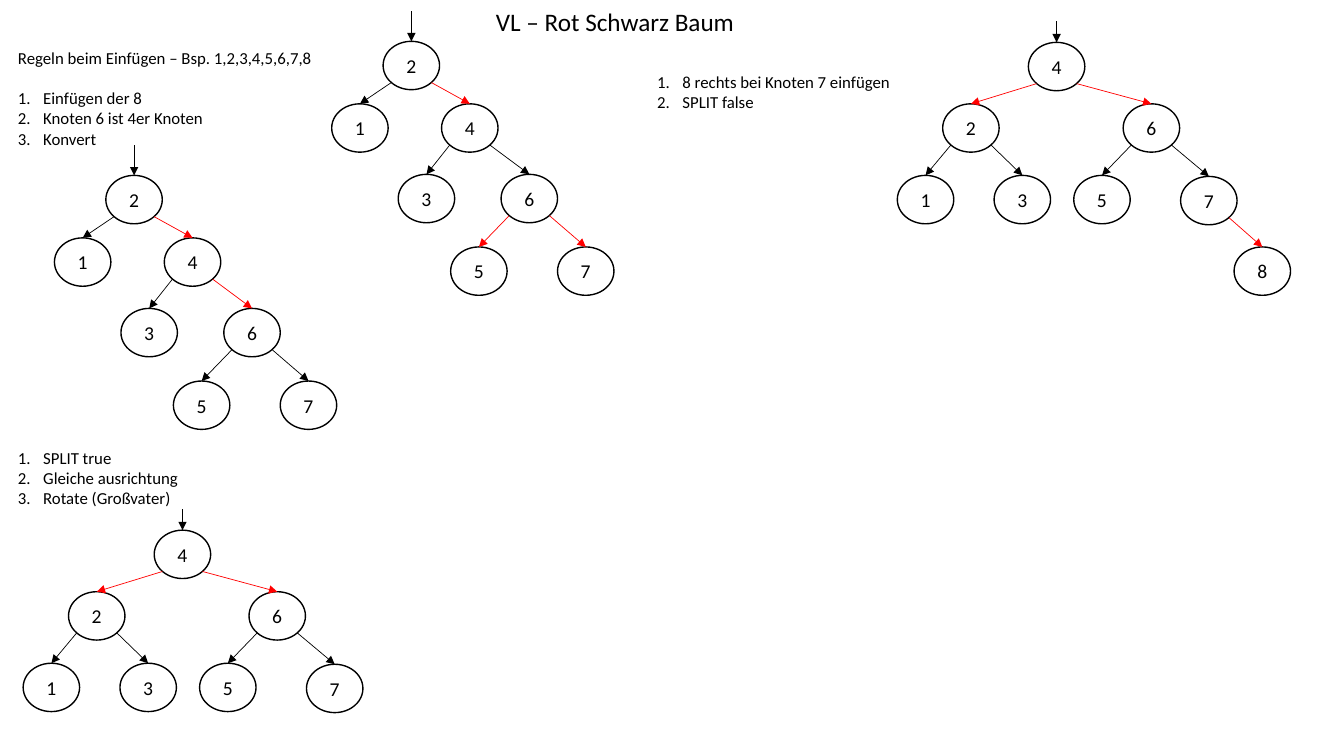
from lxml import etree
from pptx import Presentation
from pptx.dml.color import RGBColor
from pptx.enum.shapes import MSO_CONNECTOR, MSO_SHAPE
from pptx.enum.text import MSO_ANCHOR, MSO_AUTO_SIZE, PP_ALIGN
from pptx.oxml.ns import qn
from pptx.util import Emu, Pt

OVAL = MSO_SHAPE.OVAL
LINE = MSO_CONNECTOR.STRAIGHT
MIDDLE = MSO_ANCHOR.MIDDLE
GROW = MSO_AUTO_SIZE.SHAPE_TO_FIT_TEXT
CENTER = PP_ALIGN.CENTER
LEFT = PP_ALIGN.LEFT

COLORS = {"black": "000000", "red": "FF0000"}
FONT = "Calibri"
SCALE = 9144
NODE_W, NODE_H = 56, 48
SIDE, DROP = 20, 41
INDENT = 25
GAP = 14.6

CHAIN = {
    "2": (0, 0, None),
    "1": (-51, 62, "2"),
    "4": (58, 62, "2"),
    "3": (15, 132, "4"),
    "6": (117, 132, "4"),
    "5": (67, 204, "6"),
    "7": (173, 204, "6"),
}
FULL = {
    "4": (0, 0, None),
    "2": (-85, 61, "4"),
    "6": (94, 61, "4"),
    "1": (-130, 132, "2"),
    "3": (-34, 132, "2"),
    "5": (45, 132, "6"),
    "7": (151, 133, "6"),
}
GROWN = {**FULL, "8": (204, 203, "7")}


def px(n):
    return Emu(n * SCALE)


def color(name):
    return RGBColor.from_string(COLORS[name])


def write(para, text, size=12, align=LEFT, number=False, before=0):
    para.alignment = align
    if before:
        para.space_before = Pt(before)
    if number:
        props = para._p.get_or_add_pPr()
        props.set("marL", str(px(INDENT)))
        props.set("indent", str(px(-INDENT)))
        mark = etree.SubElement(props, qn("a:buAutoNum"))
        mark.set("type", "arabicPeriod")
    run = para.add_run()
    run.text = text
    run.font.name = FONT
    run.font.size = Pt(size)
    run.font.color.rgb = color("black")


def add_box(slide, box, wrap=True):
    frame = slide.shapes.add_textbox(*map(px, box)).text_frame
    frame.word_wrap = wrap
    frame.auto_size = GROW
    return frame


def add_title(slide, box, text):
    frame = add_box(slide, box, wrap=False)
    write(frame.paragraphs[0], text, size=18)


def add_steps(slide, box, steps, head=None):
    frame = add_box(slide, box)
    para = frame.paragraphs[0]
    if head:
        write(para, head)
        para = frame.add_paragraph()
    for i, step in enumerate(steps):
        if i:
            para = frame.add_paragraph()
        write(para, step, number=True, before=GAP if head and not i else 0)


def add_node(slide, x, y, key):
    node = slide.shapes.add_shape(OVAL, *map(px, (x, y, NODE_W, NODE_H)))
    node.shadow.inherit = False
    node.fill.background()
    node.line.color.rgb = color("black")
    node.line.width = Pt(1)
    node.text_frame.vertical_anchor = MIDDLE
    write(node.text_frame.paragraphs[0], key, size=14, align=CENTER)
    return node


def add_arrow(slide, x, y, node, tone):
    top = node.left + node.width // 2
    arrow = slide.shapes.add_connector(LINE, px(x), px(y), top, node.top)
    arrow.end_connect(node, 0)
    arrow.line.color.rgb = color(tone)
    arrow.line.width = Pt(0.5)
    tail = etree.SubElement(arrow.line._get_or_add_ln(), qn("a:tailEnd"))
    tail.set("type", "triangle")
    etree.SubElement(arrow._element.spPr, qn("a:effectLst"))


def add_tree(slide, x, y, tree, entry, red):
    mid = x + NODE_W // 2
    nodes = {key: add_node(slide, x + dx, y + dy, key)
             for key, (dx, dy, _) in tree.items()}
    for key, (dx, _, up) in tree.items():
        if up is None:
            add_arrow(slide, mid, y - entry, nodes[key], "black")
            continue
        up_x, up_y, _ = tree[up]
        side = SIDE if dx > up_x else -SIDE
        tone = "red" if key in red else "black"
        add_arrow(slide, mid + up_x + side, y + up_y + DROP, nodes[key], tone)


def main():
    deck = Presentation()
    deck.slide_width, deck.slide_height = px(1333), px(750)
    slide = deck.slides.add_slide(deck.slide_layouts[6])
    add_title(slide, (482, 1, 259, 40), "VL – Rot Schwarz Baum")
    add_steps(slide, (8, 42, 419, 131),
              ["Einfügen der 8", "Knoten 6 ist 4er Knoten", "Konvert"],
              head="Regeln beim Einfügen – Bsp. 1,2,3,4,5,6,7,8")
    add_steps(slide, (8, 439, 419, 71),
              ["SPLIT true", "Gleiche ausrichtung", "Rotate (Großvater)"])
    add_steps(slide, (642, 66, 259, 50),
              ["8 rechts bei Knoten 7 einfügen", "SPLIT false"])
    add_tree(slide, 380, 41, CHAIN, 30, "457")
    add_tree(slide, 105, 174, CHAIN, 30, "46")
    add_tree(slide, 153, 526, FULL, 21, "26")
    add_tree(slide, 1020, 42, GROWN, 21, "268")
    deck.save("out.pptx")


if __name__ == "__main__":
    main()
